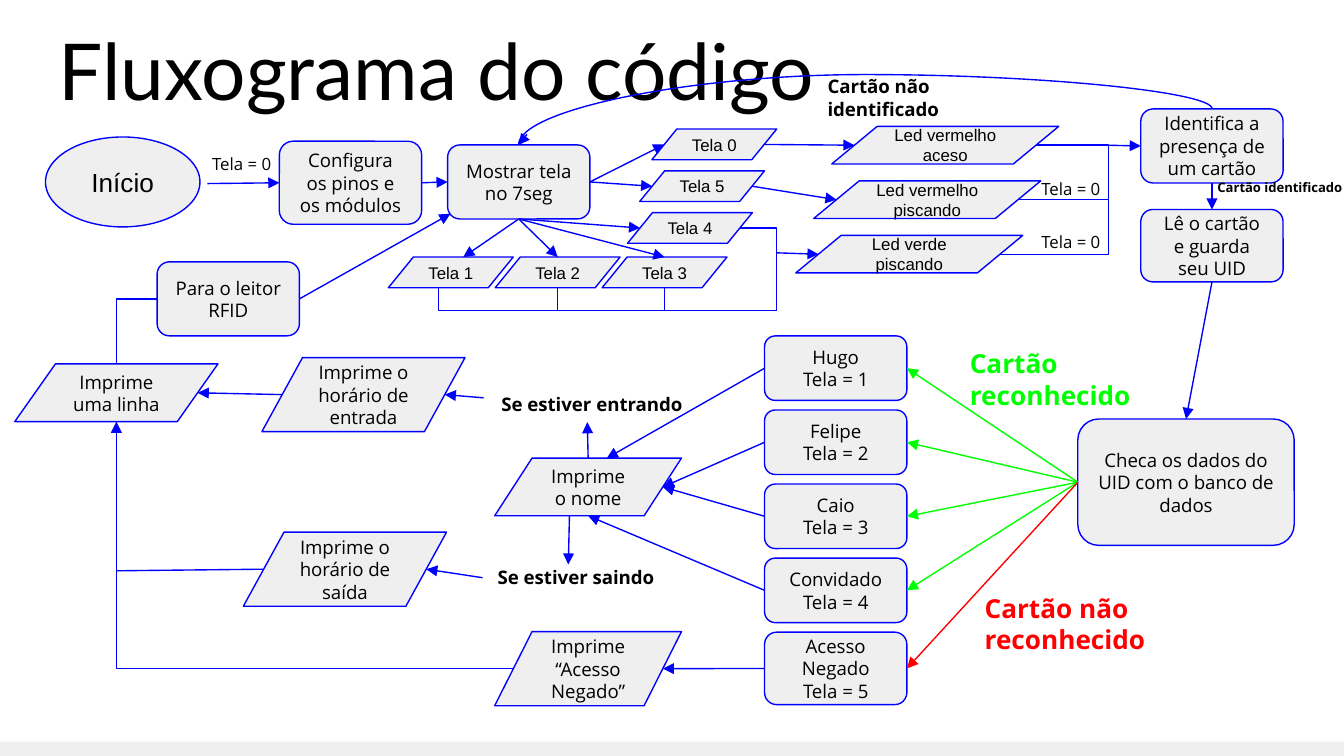
from pptx import Presentation
from pptx.dml.color import RGBColor
from pptx.enum.shapes import MSO_CONNECTOR, MSO_SHAPE
from pptx.enum.text import MSO_ANCHOR, PP_ALIGN
from pptx.oxml.ns import qn
from pptx.util import Cm, Pt
from lxml import etree

STRAIGHT, ELBOW, CURVE = MSO_CONNECTOR.STRAIGHT, MSO_CONNECTOR.ELBOW, MSO_CONNECTOR.CURVE
RECT, ROUND, OVAL = MSO_SHAPE.RECTANGLE, MSO_SHAPE.ROUNDED_RECTANGLE, MSO_SHAPE.OVAL
DATA = MSO_SHAPE.FLOWCHART_DATA
TOP, MIDDLE, BOTTOM = MSO_ANCHOR.TOP, MSO_ANCHOR.MIDDLE, MSO_ANCHOR.BOTTOM
LEFT, CENTER = PP_ALIGN.LEFT, PP_ALIGN.CENTER

COLORS = {"box": "EFEFEF", "line": "0000FF", "text": "000000",
          "yes": "00FF00", "no": "FF0000"}


def rgb(name):
    return RGBColor.from_string(COLORS[name])


def write(sp, text, size, font, align, anchor, color="text", bold=False):
    tf = sp.text_frame
    tf.word_wrap = True
    tf.vertical_anchor = anchor
    tf.margin_left = tf.margin_right = tf.margin_top = tf.margin_bottom = Cm(0.25)
    tf.text = text
    for p in tf.paragraphs:
        p.alignment = align
        for r in p.runs:
            r.font.size, r.font.name, r.font.bold = Pt(size), font, bold
            r.font.color.rgb = rgb(color)


def node(s, kind, x, y, w, h, text, size=10, font="Open Sans"):
    sp = s.shapes.add_shape(kind, Cm(x), Cm(y), Cm(w), Cm(h))
    sp.shadow.inherit = False
    sp.fill.solid()
    sp.fill.fore_color.rgb = rgb("box")
    sp.line.color.rgb = rgb("line")
    sp.line.width = Pt(0.75)
    write(sp, text, size, font, CENTER, MIDDLE)
    return sp


def label(s, x, y, w, h, text, size=10, color="text", bold=True,
          align=LEFT, font="Open Sans", anchor=TOP):
    tb = s.shapes.add_textbox(Cm(x), Cm(y), Cm(w), Cm(h))
    write(tb, text, size, font, align, anchor, color, bold)


def at(sp, fx, fy):
    """Point of a shape, as fractions of its width and height."""
    return int(sp.left + fx * sp.width), int(sp.top + fy * sp.height)


def pt(x, y):
    return Cm(x), Cm(y)


def link(s, a, b, color="line", arrow=True, kind=STRAIGHT):
    c = s.shapes.add_connector(kind, *a, *b)
    c.line.color.rgb = rgb(color)
    c.line.width = Pt(0.75)
    if arrow:
        etree.SubElement(c.line._get_or_add_ln(), qn("a:tailEnd"), type="triangle")
    etree.SubElement(c._element.spPr, qn("a:effectLst"))
    return c


def bend(s, a, b):
    """One corner: horizontal from a, then vertical to b."""
    c = link(s, a, b, arrow=False, kind=ELBOW)
    c._element.spPr.find(qn("a:prstGeom")).set("prst", "bentConnector2")


def arc(s, x1, y1, x2, y2, rise):
    """Curve from the right point over the top to the left point."""
    mx, my, w, h = (x1 + x2) / 2, (y1 + y2) / 2, y2 - y1, x1 - x2
    c = link(s, pt(mx - w / 2, my - h / 2), pt(mx + w / 2, my + h / 2),
             arrow=False, kind=CURVE)
    c._element.spPr.find(qn("a:xfrm")).set("rot", "5400000")
    av = c._element.spPr.find(qn("a:prstGeom")).get_or_add_avLst()
    etree.SubElement(av, qn("a:gd"), name="adj1", fmla=f"val {round(-rise / w * 100000)}")


def frame(s, x, y, w, h):
    label(s, x + 0.86, y + 0.28, 23.6, 2.16, "Fluxograma do código", 42,
          bold=False, font="Lato", anchor=BOTTOM)
    bar = node(s, RECT, x, y + h - 0.27, w, 0.27, "")
    bar.line.fill.background()


def startup(s, x, y):
    node(s, OVAL, x, y, 2.92, 1.7, "Início", 14, "Arial")
    setup = node(s, ROUND, x + 4.42, y + 0.08, 2.69, 1.57, "Configura os pinos e os módulos")
    show = node(s, ROUND, x + 7.6, y + 0.15, 2.69, 1.4, "Mostrar tela no 7seg")
    link(s, pt(x + 3.06, y + 0.88), at(setup, 0, 0.5))
    link(s, at(setup, 1, 0.5), at(show, 0, 0.5))
    label(s, x + 2.9, y + 0.13, 1.7, 0.58, "Tela = 0", 9, bold=False)
    return show


def screens(s, x, y, show):
    size = 2.36, 0.58
    # Slanted column: screens 0, 5 and 4
    column = [node(s, DATA, x + 4.98 - 0.23 * i, y + 0.79 * i, *size, f"Tela {n}", 9, "Arial")
              for i, n in enumerate((0, 5, 4))]
    # Row: screens 1 to 3
    row = [node(s, DATA, x + 2.02 * i, y + 2.42, *size, f"Tela {i + 1}", 9, "Arial")
           for i in range(3)]
    for sp, start in zip(column, ((1, 0.5), (1, 0.5), (0.5, 1))):
        link(s, at(show, *start), at(sp, 0.1, 0.5))
    for sp, fx in zip(row, (0.6, 0.5, 0.5)):
        link(s, at(show, 0.5, 1), at(sp, fx, 0))
    # Collector of screens 1 to 4
    corner = pt(x + 7.34, y + 3.43)
    bend(s, corner, at(row[0], 0.4, 1))
    bend(s, at(column[2], 0.9, 0.5), corner)
    for sp in row[1:]:
        foot = at(sp, 0.5, 1)
        link(s, foot, (foot[0], corner[1]), arrow=False)
    return column, pt(x + 7.34, y + 2.34)


def leds(s, x, y, column, collector):
    texts = "Led vermelho aceso", "Led vermelho piscando", "Led verde piscando"
    lamps = [node(s, DATA, x - 0.34 * i, y + 1.03 * i, 4.29, 0.71, t, 9, "Arial")
             for i, t in enumerate(texts)]
    starts = at(column[0], 0.9, 0.5), at(column[1], 0.9, 0.5), collector
    for start, lamp in zip(starts, lamps):
        link(s, start, at(lamp, 0.1, 0.5))
    # Common return line
    bus = Cm(x + 5.23)
    bend(s, at(lamps[0], 0.9, 0.5), (bus, at(lamps[2], 0, 0.5)[1]))
    for i, lamp in enumerate(lamps[1:]):
        end = at(lamp, 0.9, 0.5)
        link(s, end, (bus, end[1]), arrow=False)
        label(s, x + 3.71, y + 0.79 + i, 1.7, 0.58, "Tela = 0", 9, bold=False)
    return bus, at(lamps[0], 0, 0.5)[1]


def card(s, x, y, bus):
    detect = node(s, ROUND, x + 1.19, y, 2.69, 1.4, "Identifica a presença de um cartão")
    read = node(s, ROUND, x + 1.19, y + 1.9, 2.69, 1.37, "Lê o cartão e guarda seu UID")
    check = node(s, ROUND, x, y + 5.86, 4.09, 2.39, "Checa os dados do UID com o banco de dados")
    link(s, bus, at(detect, 0, 0.5))
    link(s, at(detect, 0.5, 1), at(read, 0.5, 0))
    link(s, at(read, 0.5, 1), at(check, 0.5, 0))
    label(s, x + 2.39, y + 1.19, 4.09, 0.79, "Cartão identificado", 7)
    # Loop back to the display when no card is found
    arc(s, x + 2.54, y, x - 10.57, y + 0.68, 0.65)
    link(s, pt(x - 10.41, y + 0.48), pt(x - 10.57, y + 0.68))
    label(s, x - 4.98, y - 0.89, 4.39, 0.79, "Cartão não identificado")
    return check


def users(s, x, y, check):
    names = "Hugo", "Felipe", "Caio", "Convidado", "Acesso Negado"
    boxes = []
    for i, name in enumerate(names):
        denied = i == len(names) - 1
        sp = node(s, ROUND, x, y + 1.4 * i, 2.69, 1.37 if denied else 1.22,
                  f"{name}\nTela = {i + 1}")
        link(s, at(check, 0, 0.5), at(sp, 1, 0.5), "no" if denied else "yes")
        boxes.append(sp)
    label(s, x + 3.63, y - 0.03, 4.39, 0.58, "Cartão reconhecido", 14, "yes")
    label(s, x + 3.91, y + 4.6, 4.39, 0.58, "Cartão não reconhecido", 14, "no")
    return boxes


def printing(s, x, y, boxes, show):
    stop = node(s, ROUND, x + 2.69, y, 2.69, 1.4, "Para o leitor RFID")
    name = node(s, DATA, x + 9.07, y + 3.71, 3.53, 1.09, "Imprime o nome")
    row = node(s, DATA, x, y + 1.93, 3.84, 1.09, "Imprime uma linha")
    entry = node(s, DATA, x + 4.67, y + 1.81, 3.84, 1.4, "Imprime o horário de entrada")
    leave = node(s, DATA, x + 4.32, y + 5.11, 3.84, 1.4, "Imprime o horário de saída")
    denied = node(s, DATA, x + 9.07, y + 6.99, 3.53, 1.4, "Imprime “Acesso Negado”")
    # Users to the printed name
    for sp, end in zip(boxes, ((0.6, 0), (0.9, 0.5), (0.9, 0.5), (0.5, 1))):
        link(s, at(sp, 0, 0.5), at(name, *end))
    link(s, at(boxes[-1], 0, 0.5), at(denied, 0.9, 0.5))
    # Entering or leaving
    link(s, at(name, 0.5, 0), pt(x + 10.82, y + 3.03))
    link(s, at(name, 0.4, 1), pt(x + 10.46, y + 5.72))
    label(s, x + 8.86, y + 2.26, 4.09, 0.64, "Se estiver entrando", align=CENTER)
    label(s, x + 8.84, y + 5.54, 3.53, 0.86, "Se estiver saindo", align=CENTER)
    link(s, pt(x + 8.86, y + 2.57), at(entry, 0.9, 0.5))
    link(s, pt(x + 8.84, y + 5.97), at(leave, 0.9, 0.5))
    # Everything returns to the printed line, then to the display
    foot = at(row, 0.5, 1)
    link(s, at(entry, 0.1, 0.5), at(row, 0.9, 0.5))
    bend(s, at(denied, 0.1, 0.5), foot)
    link(s, at(leave, 0.1, 0.5), (foot[0], Cm(y + 5.84)), arrow=False)
    link(s, (foot[0], foot[1] + Cm(0.53)), foot)
    bend(s, at(stop, 0, 0.5), at(row, 0.5, 0))
    link(s, at(stop, 1, 0.5), at(show, 0.02, 0.93))


def main():
    prs = Presentation()
    prs.slide_width, prs.slide_height = Cm(25.4), Cm(14.29)
    s = prs.slides.add_slide(prs.slide_layouts[6])
    frame(s, 0, 0, 25.4, 14.29)
    show = startup(s, 0.86, 2.59)
    column, collector = screens(s, 7.34, 2.44, show)
    bus = leds(s, 15.72, 2.39, column, collector)
    check = card(s, 20.37, 2.06, bus)
    boxes = users(s, 14.45, 6.35, check)
    printing(s, 0.28, 4.95, boxes, show)
    prs.save("out.pptx")


if __name__ == "__main__":
    main()
